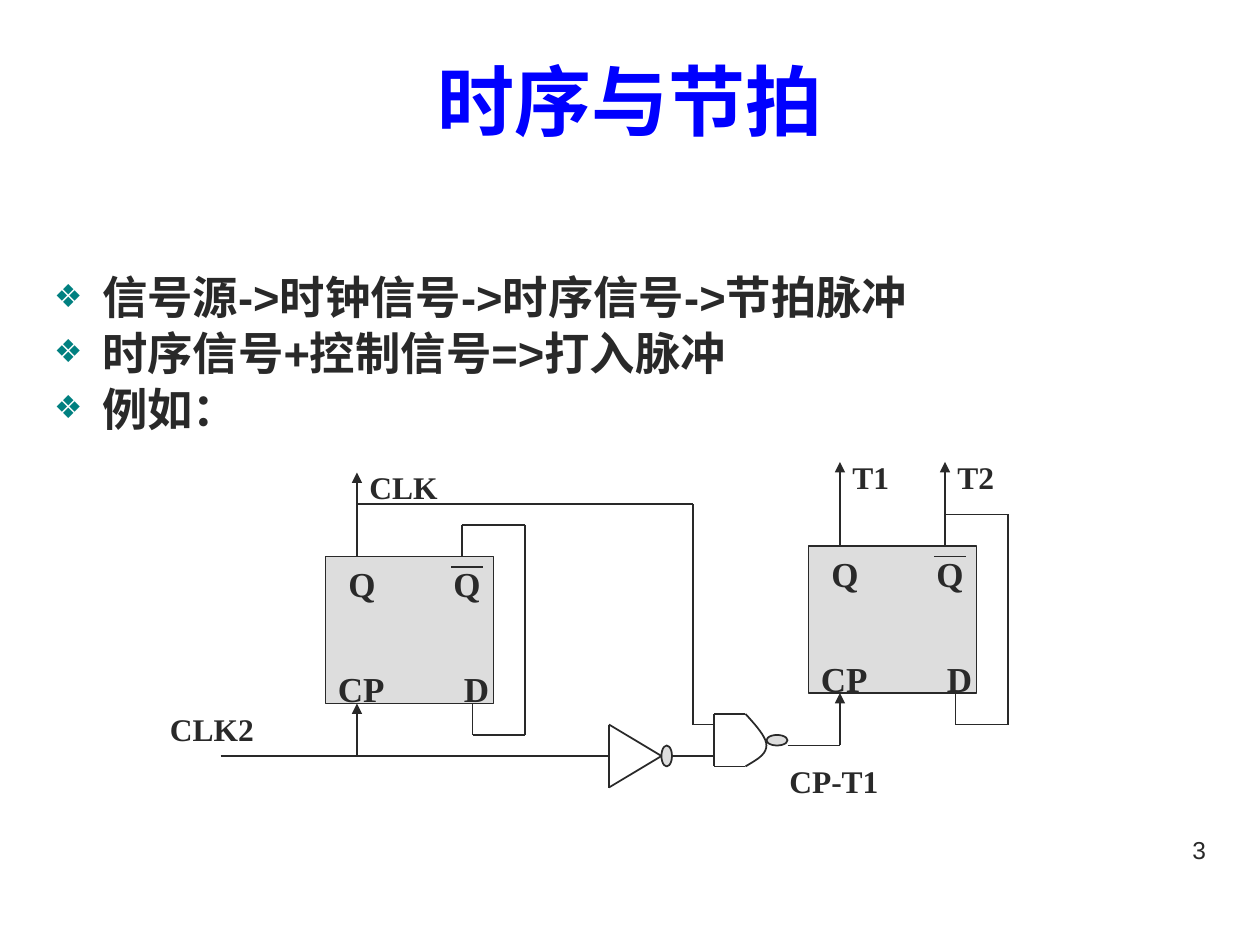
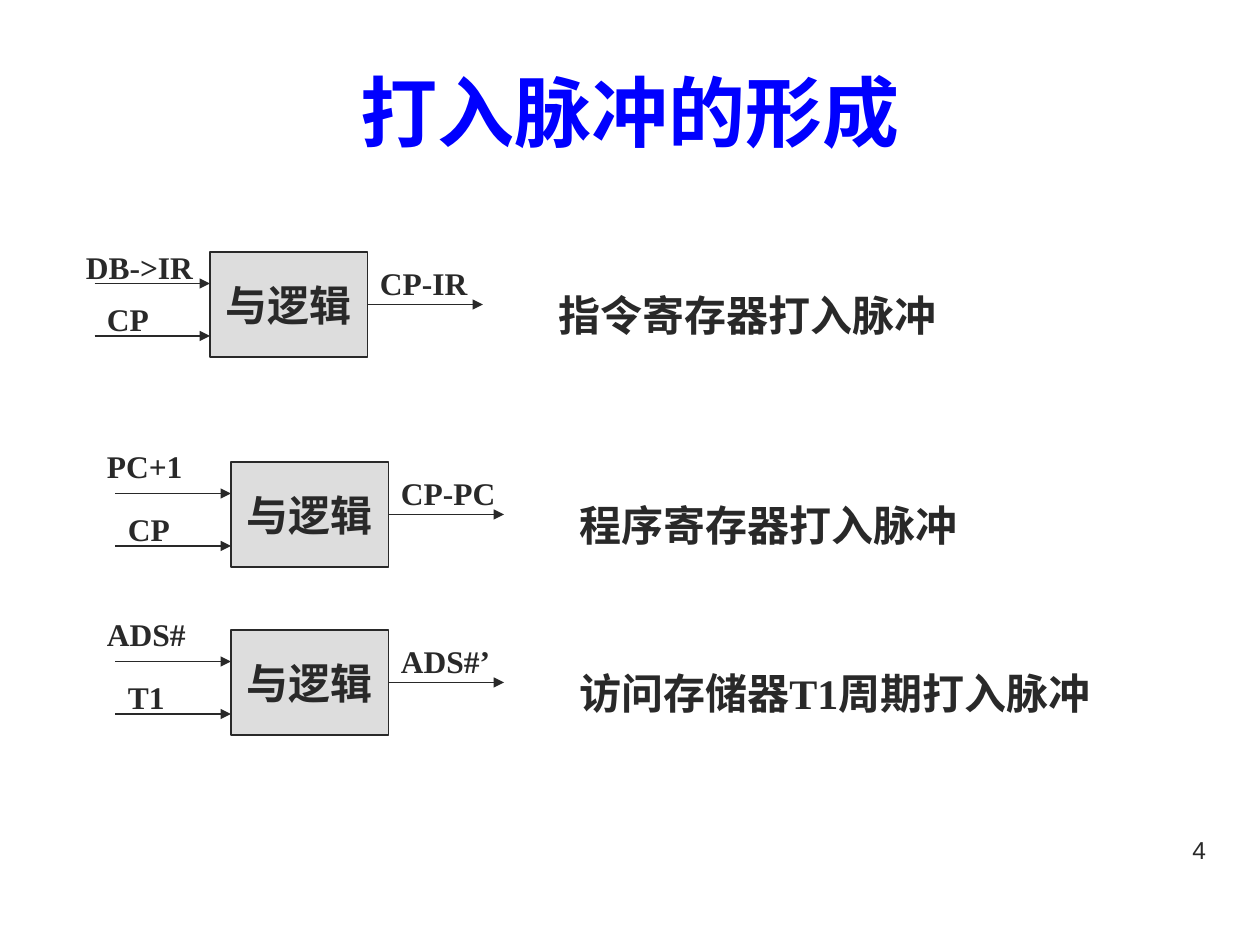
import itertools

import lxml.etree
import pptx
import pptx.dml.color
import pptx.enum.shapes
import pptx.enum.text
import pptx.oxml.ns
import pptx.util
from pptx.util import Inches

COLORS = {"ink": "292929", "title": "0000FF", "bullet": "008080", "block": "DDDDDD"}
SANS, SERIF = "Arial", "Times New Roman"
ALIGN = pptx.enum.text.PP_ALIGN
SHAPES = pptx.enum.shapes.MSO_SHAPE
CELLS_PER_INCH = 12
LABEL_HEIGHTS = {18: 0.4, 20: 0.44, 24: 0.5}


def cells(*counts):
    """Turn grid cells (twelve to the inch) into lengths."""
    return [Inches(count / CELLS_PER_INCH) for count in counts]


def rgb(name):
    return pptx.dml.color.RGBColor.from_string(COLORS[name])


def add_xml(parent, tag, **attributes):
    return lxml.etree.SubElement(parent, pptx.oxml.ns.qn(tag), attributes)


def bezier(start, control1, control2, end, steps=10):
    """Points along a cubic curve, both ends included."""
    points = []
    for step in range(steps + 1):
        t = step / steps
        weights = ((1 - t) ** 3, 3 * t * (1 - t) ** 2, 3 * t * t * (1 - t), t ** 3)
        points.append(tuple(
            sum(weight * value for weight, value in zip(weights, values))
            for values in zip(start, control1, control2, end)))
    return points


class Deck:
    def __init__(self):
        self.presentation = pptx.Presentation()
        self.presentation.slide_width = Inches(10)
        self.presentation.slide_height = Inches(7.5)
        self.slide = None

    def new_slide(self, layout, title, title_top, number):
        self.slide = self.presentation.slides.add_slide(
            self.presentation.slide_layouts[layout])
        heading = self.slide.shapes.title
        self.place(heading, 0.33, title_top, 9.34, 1.25)
        heading.text_frame.vertical_anchor = pptx.enum.text.MSO_ANCHOR.MIDDLE
        self.set_text(heading.text_frame, title, 44, SANS, "title", align=ALIGN.CENTER)
        page = self.slide.shapes.add_textbox(
            Inches(7.17), Inches(6.58), Inches(2.5), Inches(0.52))
        self.set_text(page.text_frame, number, 14, SANS, bold=False, align=ALIGN.RIGHT)

    def place(self, shape, left, top, width, height):
        box = {"left": left, "top": top, "width": width, "height": height}
        for side, inches in box.items():
            setattr(shape, side, Inches(inches))

    def set_text(self, frame, text, size, font, color="ink", bold=True,
                 align=ALIGN.LEFT, wrap=True):
        frame.word_wrap = wrap
        frame.auto_size = pptx.enum.text.MSO_AUTO_SIZE.NONE
        frame.text = text
        for paragraph in frame.paragraphs:
            paragraph.alignment = align
            style = {"size": pptx.util.Pt(size), "name": font, "bold": bold}
            for run in paragraph.runs:
                for attribute, value in style.items():
                    setattr(run.font, attribute, value)
                run.font.color.rgb = rgb(color)

    def bullets(self, items):
        body = self.slide.placeholders[1]
        self.place(body, 0.33, 2.17, 9.34, 1.37)
        self.set_text(body.text_frame, "\n".join(items), 25.9, SANS)
        for index, paragraph in enumerate(body.text_frame.paragraphs):
            properties = paragraph._p.get_or_add_pPr()
            properties.set("marL", str(Inches(0.38)))
            properties.set("indent", str(Inches(-0.38)))
            color = add_xml(properties, "a:buClr")
            add_xml(color, "a:srgbClr", val=COLORS["bullet"])
            add_xml(properties, "a:buSzPct", val="70000")
            add_xml(properties, "a:buChar", char="❖")
            paragraph.line_spacing = 0.8
            paragraph.space_before = pptx.util.Pt(7 if index else 0)

    def label(self, text, left, top, width, size=18):
        box = self.slide.shapes.add_textbox(
            *cells(left, top, width), Inches(LABEL_HEIGHTS[size]))
        self.set_text(box.text_frame, text, size, SERIF)

    def outline(self, shape):
        shape.line.color.rgb = rgb("ink")
        shape.line.width = pptx.util.Pt(1)

    def block(self, kind, left, top, width, height, text=""):
        shape = self.slide.shapes.add_shape(kind, *cells(left, top, width, height))
        shape.shadow.inherit = False
        shape.fill.solid()
        shape.fill.fore_color.rgb = rgb("block")
        self.outline(shape)
        if text:
            shape.text_frame.vertical_anchor = pptx.enum.text.MSO_ANCHOR.MIDDLE
            self.set_text(shape.text_frame, text, 24, SERIF, align=ALIGN.CENTER, wrap=False)

    def wire(self, *points, arrow=False):
        """Join grid points with straight lines; an arrow ends each one."""
        for start, end in itertools.pairwise(points):
            line = self.slide.shapes.add_connector(
                pptx.enum.shapes.MSO_CONNECTOR.STRAIGHT, *cells(*start, *end))
            self.outline(line)
            if arrow:
                add_xml(line.line._get_or_add_ln(), "a:tailEnd", type="triangle")
            add_xml(line._element.spPr, "a:effectLst")

    def curve(self, points):
        builder = self.slide.shapes.build_freeform(*cells(*points[0]))
        builder.add_line_segments([cells(*point) for point in points[1:]], close=False)
        shape = builder.convert_to_shape()
        shape.shadow.inherit = False
        shape.fill.background()
        self.outline(shape)

    def flip_flop(self, left, top, output):
        """A D flip-flop whose inverted output feeds back to D."""
        self.block(SHAPES.RECTANGLE, left, top, 16, 14)
        for pin, x, y, width in (("Q", 1, 0, 4), ("Q", 11, 0, 4),
                                 ("CP", 0, 10, 8), ("D", 12, 10, 5)):
            self.label(pin, left + x, top + y, width, size=20)
        self.wire((left + 12, top + 1), (left + 15, top + 1))
        feedback = ((13, 0), (13, -3), (19, -3), (19, 17), (14, 17), (14, 14))
        self.wire(*((left + x, top + y) for x, y in feedback))
        self.wire((left + 3, top), (left + 3, top - 8), arrow=True)
        self.wire((left + 3, top + 19), (left + 3, top + 14), arrow=True)
        self.label(output, left + 3, top - 9, 10)

    def inverter(self, left, middle):
        tip = (left + 5, middle)
        self.wire(tip, (left, middle + 3), (left, middle - 3), tip)
        self.block(SHAPES.OVAL, left + 5, middle - 1, 1, 2)

    def nand_gate(self, left, top):
        right, bottom = left + 3, top + 5
        self.wire((right, top), (left, top), (left, bottom), (right, bottom))
        nose = (right + 2, top + 3)
        upper = bezier((right, top), (right + 1, top + 1.1), (right + 2, top + 2.2), nose)
        lower = bezier(nose, (right + 2, top + 3.9), (right + 1, top + 4.4), (right, bottom))
        self.curve(upper + lower[1:])
        self.block(SHAPES.OVAL, right + 2, top + 2, 2, 1)

    def and_logic(self, left, top, control, control_rise, clock, pulse, meaning):
        self.block(SHAPES.RECTANGLE, left, top, 15, 10, "与逻辑")
        for x, y in ((-11, 3), (-11, 8), (15, 5)):
            self.wire((left + x, top + y), (left + x + 11, top + y), arrow=True)
        self.label(control, left - 13, top - control_rise, 18)
        self.label(clock, left - 11, top + 4, 9)
        self.label(pulse, left + 15, top + 0.6, 14)
        self.label(meaning, left + 32, top + 3, 57, size=24)


def main():
    deck = Deck()

    deck.new_slide(1, "时序与节拍", 0.17, "3")
    deck.bullets(["信号源->时钟信号->时序信号->节拍脉冲",
                  "时序信号+控制信号=>打入脉冲", "例如："])
    deck.flip_flop(31, 53, "CLK")
    deck.flip_flop(77, 52, "T1")
    deck.wire((21, 72), (58, 72))
    deck.inverter(58, 72)
    deck.wire((64, 72), (68, 72))
    deck.wire((34, 48), (66, 48), (66, 69), (68, 69))
    deck.nand_gate(68, 68)
    deck.wire((75, 71), (80, 71))
    deck.wire((90, 49), (90, 44), arrow=True)
    deck.label("CLK2", 15, 67, 14)
    deck.label("T2", 90, 43, 10)
    deck.label("CP-T1", 74, 72, 12)

    deck.new_slide(5, "打入脉冲的形成", 0.25, "4")
    deck.and_logic(20, 24, "DB->IR", 1, "CP", "CP-IR", "指令寄存器打入脉冲")
    deck.and_logic(22, 44, "PC+1", 2, "CP", "CP-PC", "程序寄存器打入脉冲")
    deck.and_logic(22, 60, "ADS#", 2, "T1", "ADS#’", "访问存储器T1周期打入脉冲")

    deck.presentation.save("out.pptx")


if __name__ == "__main__":
    main()
